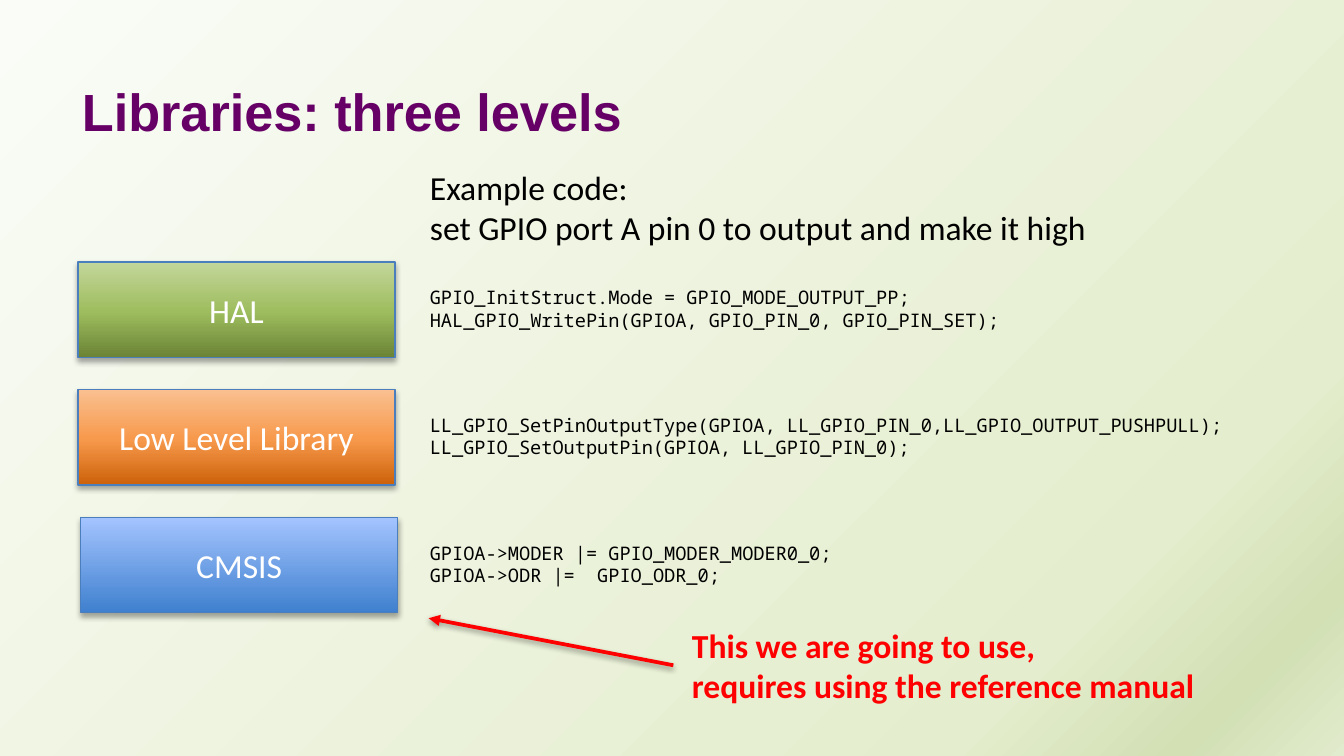
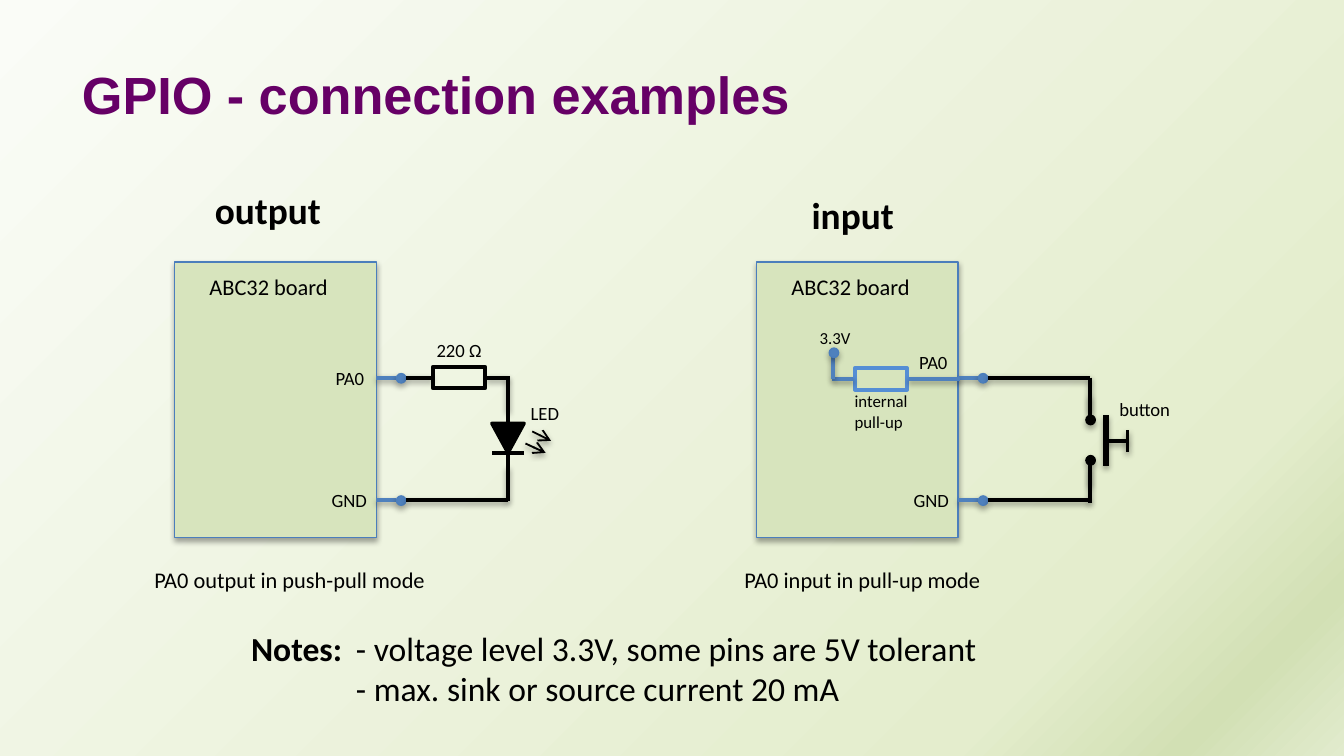
from dataclasses import dataclass

from lxml import etree
from pptx import Presentation
from pptx.dml.color import RGBColor
from pptx.enum.shapes import MSO_CONNECTOR, MSO_SHAPE
from pptx.enum.text import MSO_ANCHOR, MSO_AUTO_SIZE, PP_ALIGN
from pptx.oxml.ns import qn
from pptx.util import Inches, Pt

RECT, DOT, LINE = MSO_SHAPE.RECTANGLE, MSO_SHAPE.OVAL, MSO_CONNECTOR.STRAIGHT
MIDDLE, FIT = MSO_ANCHOR.MIDDLE, MSO_AUTO_SIZE.SHAPE_TO_FIT_TEXT
LEFT, CENTER = PP_ALIGN.LEFT, PP_ALIGN.CENTER


@dataclass(frozen=True)
class Theme:
    title_font: str = "Arial"
    body_font: str = "Calibri"
    code_font: str = "Noto Sans Mono"
    title_size: float = 28
    heading_size: float = 20
    body_size: float = 18
    caption_size: float = 12
    label_size: float = 10
    small_size: float = 9
    title: str = "660066"
    ink: str = "000000"
    white: str = "FFFFFF"
    alert: str = "FF0000"
    edge: str = "4B7EBC"
    pin: str = "4F81BD"
    resistor: str = "558ED5"
    board: str = "D7E4BD"
    page: tuple = ((0, "FAFCF7"), (81, "E4EDCD"), (92, "D2E0B4"), (100, "E1EBCD"))
    green: tuple = ((0, "6A8336"), (48, "9EBD5E"), (100, "C3D69B"))
    orange: tuple = ((0, "CC6109"), (48, "F7994C"), (100, "FAC090"))
    blue: tuple = ((0, "3F80CE"), (100, "A4C4FF"))


THEME = Theme()


def add_text(shapes, at, text, size, font=THEME.body_font, color=THEME.ink, bold=False):
    box = shapes.add_textbox(*map(Inches, at))
    frame = box.text_frame
    frame.word_wrap = True
    frame.auto_size = FIT
    frame.text = text
    for paragraph in frame.paragraphs:
        for run in paragraph.runs:
            run.font.name, run.font.size, run.font.bold = font, Pt(size), bold
            run.font.color.rgb = RGBColor.from_string(color)
    return box


def draw(shapes, kind, at, color=THEME.ink, width=2, fill=None, shadow=True, arrow=None):
    """Draw a line from (x1, y1) to (x2, y2), or a shape at left, top, width, height."""
    is_line = kind is LINE
    add = shapes.add_connector if is_line else shapes.add_shape
    part = add(kind, *map(Inches, at))
    part.line.color.rgb = RGBColor.from_string(color)
    part.line.width = Pt(width)
    if fill:
        part.fill.solid()
        part.fill.fore_color.rgb = RGBColor.from_string(fill)
    elif not is_line:
        part.fill.background()
    properties = part.element.spPr
    if arrow:
        etree.SubElement(properties.find(qn("a:ln")), qn("a:tailEnd"), type=arrow)
    effects = etree.SubElement(properties, qn("a:effectLst"))
    if shadow:
        outer = etree.SubElement(effects, qn("a:outerShdw"), blurRad=str(Pt(3.1)),
                                 dist=str(Pt(1.6 if is_line else 1.8)),
                                 dir="5400000", rotWithShape="0")
        tint = etree.SubElement(outer, qn("a:srgbClr"), val=THEME.ink)
        etree.SubElement(tint, qn("a:alpha"), val="38000" if is_line else "35000")
    return part


prs = Presentation()
prs.slide_width = Inches(10)
prs.slide_height = prs.slide_width * 9 // 16
master = prs.slide_master
gradients = [(master.background.fill, master.element, THEME.page, 315)]

slides = []
for heading, top in (("Libraries: three levels", 0.35), ("GPIO - connection examples", 0.23)):
    slide = prs.slides.add_slide(prs.slide_layouts[5])
    title = slide.shapes.title
    title.left, title.top, title.width, title.height = map(Inches, (0.51, top, 9, 0.94))
    title.text_frame.text = heading
    title.text_frame.vertical_anchor = MIDDLE
    paragraph = title.text_frame.paragraphs[0]
    paragraph.alignment = LEFT
    font = paragraph.runs[0].font
    font.name, font.size, font.bold = THEME.title_font, Pt(THEME.title_size), True
    font.color.rgb = RGBColor.from_string(THEME.title)
    slides.append(slide.shapes)
libraries, connections = slides

# Library levels
levels = (
    ("HAL", 0.58, THEME.green, 5.75,
     "GPIO_InitStruct.Mode = GPIO_MODE_OUTPUT_PP;\n"
     "HAL_GPIO_WritePin(GPIOA, GPIO_PIN_0, GPIO_PIN_SET);"),
    ("Low Level Library", 0.58, THEME.orange, 6.4,
     "LL_GPIO_SetPinOutputType(GPIOA, LL_GPIO_PIN_0,LL_GPIO_OUTPUT_PUSHPULL); "
     "LL_GPIO_SetOutputPin(GPIOA, LL_GPIO_PIN_0);"),
    ("CMSIS", 0.6, THEME.blue, 5.51,
     "GPIOA->MODER |= GPIO_MODER_MODER0_0;\nGPIOA->ODR |=  GPIO_ODR_0;"),
)
for row, (name, left, stops, code_width, code) in enumerate(levels):
    top = 1.95 + 0.95 * row
    level = draw(libraries, RECT, (left, top, 2.36, 0.71), THEME.edge, 0.75)
    gradients.append((level.fill, level.element, stops, 90))
    level.text_frame.text = name
    level.text_frame.vertical_anchor = MIDDLE
    paragraph = level.text_frame.paragraphs[0]
    paragraph.alignment = CENTER
    font = paragraph.runs[0].font
    font.name, font.size = THEME.body_font, Pt(THEME.body_size)
    font.color.rgb = RGBColor.from_string(THEME.white)
    add_text(libraries, (3.1, top + 0.13, code_width, 0.44), code,
             THEME.label_size, THEME.code_font)

add_text(libraries, (3.1, 1.19, 5.51, 0.71),
         "Example code:\nset GPIO port A pin 0 to output and make it high", THEME.body_size)
add_text(libraries, (5.05, 4.6, 4.15, 0.71),
         "This we are going to use,\nrequires using the reference manual",
         THEME.body_size, color=THEME.alert, bold=True)
draw(libraries, LINE, (5.01, 4.95, 3.19, 4.6), THEME.alert, arrow="triangle")

# What both circuits share: board, pins, heading and caption
circuits = []
for left, heading, heading_at, caption, caption_at, pa0_at in (
    (1.3, "output", (1.5, 1.34, 1.37, 0.44),
     "PA0 output in push-pull mode", (1.05, 4.16, 2.27, 0.3), (2.4, 2.68, 0.47, 0.27)),
    (5.63, "input", (5.94, 1.38, 1.08, 0.44),
     "PA0 input in pull-up mode", (5.44, 4.16, 2.08, 0.3), (6.74, 2.56, 0.47, 0.27)),
):
    circuit = connections.add_group_shape().shapes
    draw(circuit, RECT, (left, 1.95, 1.5, 2.05), THEME.edge, 0.75, THEME.board)
    add_text(circuit, (left + 0.16, 1.98, 1.18, 0.3), "ABC32 board", THEME.caption_size)
    for pin_y in (2.81, 3.72):
        draw(circuit, LINE, (left + 1.5, pin_y, left + 1.65, pin_y), THEME.pin)
        draw(circuit, DOT, (left + 1.65, pin_y - 0.03, 0.07, 0.07), THEME.edge, 0.75, THEME.pin)
    add_text(circuit, (left + 1.07, 3.59, 0.54, 0.27), "GND", THEME.label_size)
    add_text(circuit, pa0_at, "PA0", THEME.label_size)
    add_text(circuit, heading_at, heading, THEME.heading_size, bold=True)
    add_text(circuit, caption_at, caption, THEME.caption_size)
    circuits.append(circuit)
output, button_input = circuits

# Output circuit: resistor and LED
draw(output, RECT, (3.22, 2.73, 0.39, 0.16), shadow=False)
for wire in ((3.02, 3.72, 3.78, 3.72), (3.78, 3.47, 3.78, 3.73), (3.02, 2.81, 3.22, 2.81),
             (3.62, 2.81, 3.78, 2.81), (3.78, 2.8, 3.78, 3.06)):
    draw(output, LINE, wire)
for led_line in ((3.78, 3.05, 3.78, 3.47), (3.9, 3.37, 3.66, 3.37)):
    draw(output, LINE, led_line, width=1.88, shadow=False)
outline = output.build_freeform(Inches(3.9), Inches(3.15))
outline.add_line_segments([(Inches(3.66), Inches(3.15)), (Inches(3.78), Inches(3.37))])
diode = outline.convert_to_shape()
diode.shadow.inherit = False
diode.fill.solid()
diode.fill.fore_color.rgb = diode.line.color.rgb = RGBColor.from_string(THEME.ink)
diode.line.width = Pt(1.88)
for light_ray in ((3.91, 3.3, 4.06, 3.37), (3.96, 3.21, 4.1, 3.28)):
    draw(output, LINE, light_ray, width=1, arrow="arrow")
add_text(output, (3.15, 2.47, 0.56, 0.27), "220 Ω", THEME.label_size)
add_text(output, (3.85, 2.94, 0.56, 0.27), "LED", THEME.label_size)

# Input circuit: pull-up resistor and button
draw(button_input, RECT, (6.36, 2.74, 0.39, 0.16), THEME.resistor, shadow=False)
for wire in ((6.76, 2.82, 7.14, 2.82), (6.19, 2.82, 6.35, 2.82), (6.2, 2.82, 6.2, 2.66)):
    draw(button_input, LINE, wire, THEME.pin)
draw(button_input, DOT, (6.17, 2.59, 0.07, 0.07), THEME.edge, 0.75, THEME.pin)
for wire in ((7.35, 3.72, 8.11, 3.72), (7.35, 2.81, 8.11, 2.81),
             (8.11, 2.81, 8.11, 3.06), (8.11, 2.94, 8.11, 3.09),
             (8.11, 3.48, 8.11, 3.74), (8.11, 3.61, 8.11, 3.46),
             (8.23, 3.28, 8.39, 3.28), (8.39, 3.2, 8.39, 3.36)):
    draw(button_input, LINE, wire)
draw(button_input, LINE, (8.23, 3.09, 8.23, 3.47), width=3)
for contact_top in (3.09, 3.39):
    draw(button_input, DOT, (8.08, contact_top, 0.07, 0.07), width=0.75, fill=THEME.ink)
add_text(button_input, (6.26, 2.86, 0.65, 0.41), "internal pull-up", THEME.small_size)
add_text(button_input, (6, 2.39, 0.48, 0.25), "3.3V", THEME.small_size)
add_text(connections, (8.23, 2.91, 0.67, 0.27), "button", THEME.label_size)

# Notes, aligned on a tab stop
notes = add_text(connections, (1.77, 4.62, 5.98, 0.71), "Notes:\t", THEME.body_size, bold=True)
paragraph = notes.text_frame.paragraphs[0]
first_note = paragraph.add_run()
first_note.text = "- voltage level 3.3V, some pins are 5V tolerant"
paragraph.add_line_break()
second_note = paragraph.add_run()
second_note.text = "\t- max. sink or source current 20 mA"
for run in (first_note, second_note):
    run.font.name, run.font.size, run.font.bold = THEME.body_font, Pt(THEME.body_size), False
    run.font.color.rgb = RGBColor.from_string(THEME.ink)
tabs = etree.SubElement(paragraph._p.get_or_add_pPr(), qn("a:tabLst"))
etree.SubElement(tabs, qn("a:tab"), pos=str(Inches(0.78)), algn="l")

# Gradients of the page and the library levels
for fill, element, stops, angle in gradients:
    fill.gradient()
    fill.gradient_angle = angle
    stop_list = next(element.iter(qn("a:gsLst")))
    for stop in list(stop_list):
        stop_list.remove(stop)
    for position, color in stops:
        stop = etree.SubElement(stop_list, qn("a:gs"), pos=str(position * 1000))
        etree.SubElement(stop, qn("a:srgbClr"), val=color)

prs.save("out.pptx")
